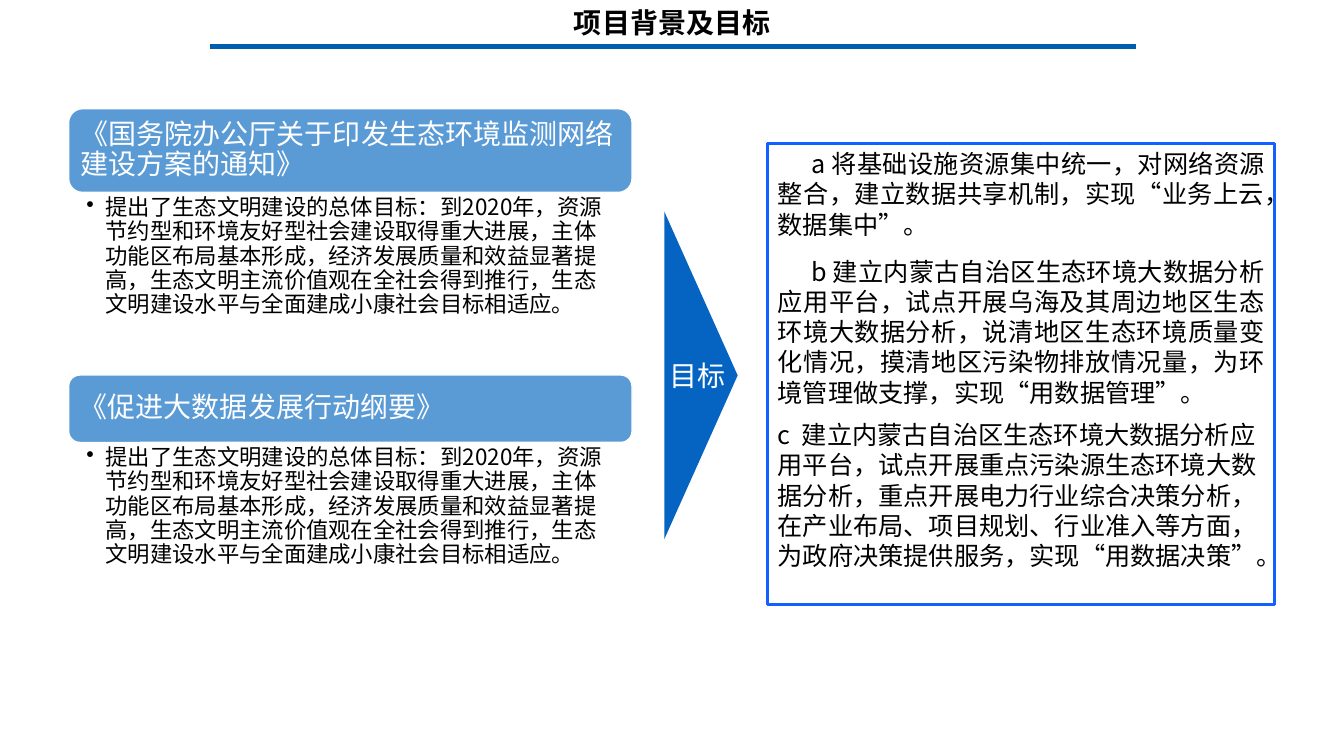
import pptx
import pptx.dml.color
import pptx.enum.shapes
import pptx.enum.text
import pptx.oxml.ns
import pptx.util
from lxml import etree

Cm, Pt = pptx.util.Cm, pptx.util.Pt
SHAPE = pptx.enum.shapes.MSO_SHAPE
ALIGN = pptx.enum.text.PP_ALIGN
ANCHOR = pptx.enum.text.MSO_ANCHOR
qn = pptx.oxml.ns.qn

FONT = "Noto Sans CJK SC"
COLORS = {
    "text": "000000",
    "light": "FFFFFF",
    "rule": "005EAE",
    "head": "5B9BD5",
    "arrow": "0563C1",
    "frame": "1160FF",
}
POLICY = (
    "提出了生态文明建设的总体目标：到2020年，资源节约型和环境友好型社会建设取得重大进展，"
    "主体功能区布局基本形成，经济发展质量和效益显著提高，生态文明主流价值观在全社会得到推行，"
    "生态文明建设水平与全面建成小康社会目标相适应。"
)
CARDS = [  # heading, top, heading height
    ("《国务院办公厅关于印发生态环境监测网络建设方案的通知》", 2.74, 2.11),
    ("《促进大数据发展行动纲要》", 9.45, 1.7),
]
GOALS = [
    "a 将基础设施资源集中统一，对网络资源整合，建立数据共享机制，实现“业务上云，数据集中”。",
    "b 建立内蒙古自治区生态环境大数据分析应用平台，试点开展乌海及其周边地区生态环境大数据分析，"
    "说清地区生态环境质量变化情况，摸清地区污染物排放情况量，为环境管理做支撑，实现“用数据管理”。",
]
LAST = (
    "c  建立内蒙古自治区生态环境大数据分析应用平台，试点开展重点污染源生态环境大数据分析，"
    "重点开展电力行业综合决策分析，在产业布局、项目规划、行业准入等方面，"
    "为政府决策提供服务，实现“用数据决策”。"
)


def paint(name):
    return pptx.dml.color.RGBColor.from_string(COLORS[name])


def write(frame, *texts, size=18, color="text", bold=False, align=ALIGN.LEFT,
          anchor=ANCHOR.TOP, pads=(0.25, 0.13, 0.25, 0.13), wrap=True,
          lead=None, gap=0, first=0, bullet=False):
    """Fill a text frame, one paragraph per text."""
    frame.auto_size = pptx.enum.text.MSO_AUTO_SIZE.NONE
    frame.word_wrap = wrap
    frame.vertical_anchor = anchor
    (frame.margin_left, frame.margin_top,
     frame.margin_right, frame.margin_bottom) = map(Cm, pads)
    for i, text in enumerate(texts):
        para = frame.add_paragraph() if i else frame.paragraphs[0]
        para.alignment = align
        if lead:
            para.line_spacing = lead
        para.space_before = Pt(gap if i else 0)
        para.space_after = Pt(gap)
        props = para._p.get_or_add_pPr()
        if first:
            props.set("indent", str(Cm(first)))
        if bullet:
            props.set("marL", str(Cm(0.48)))
            props.set("indent", str(-Cm(0.48)))
            etree.SubElement(props, qn("a:buChar")).set("char", "•")
        run = para.add_run()
        run.text = text
        run.font.name = FONT
        run.font.size = Pt(size)
        run.font.bold = bold
        run.font.color.rgb = paint(color)
        mark = run._r.get_or_add_rPr()
        mark.set("lang", "zh-CN")
        etree.SubElement(mark, qn("a:ea")).set("typeface", FONT)


def block(slide, kind, box, fill=None, line=None, width=1):
    """Add a flat preset shape."""
    shape = slide.shapes.add_shape(kind, *map(Cm, box))
    shape.shadow.inherit = False
    if fill:
        shape.fill.solid()
        shape.fill.fore_color.rgb = paint(fill)
    else:
        shape.fill.background()
    if line:
        shape.line.color.rgb = paint(line)
        shape.line.width = Pt(width)
    else:
        shape.line.fill.background()
    return shape


def banner(slide, left, top, width, height):
    """Title with the rule below it."""
    y = Cm(top + height + 0.05)
    rule = slide.shapes.add_connector(
        pptx.enum.shapes.MSO_CONNECTOR.STRAIGHT,
        Cm(left - 2.26), y, Cm(left + width + 2.29), y)
    rule.line.color.rgb = paint("rule")
    rule.line.width = Pt(3)
    etree.SubElement(rule._element.spPr, qn("a:effectLst"))
    title = slide.shapes.title
    title.left, title.top = Cm(left), Cm(top)
    title.width, title.height = Cm(width), Cm(height)
    write(title.text_frame, "项目背景及目标", size=20, bold=True, align=ALIGN.CENTER)


def card(slide, head, left, top, width, height):
    """Rounded heading with a bulleted text under it."""
    bar = block(slide, SHAPE.ROUNDED_RECTANGLE, (left, top, width, height),
                fill="head", line="light")
    write(bar.text_frame, head, size=20, color="light", lead=0.9,
          anchor=ANCHOR.MIDDLE, pads=(0.2,) * 4)
    body = slide.shapes.add_textbox(
        Cm(left), Cm(top + height + 0.02), Cm(width), Cm(4.6))
    write(body.text_frame, POLICY, size=16, lead=0.9,
          pads=(0.45, 0.08, 0.4, 0.08), bullet=True)


def arrow(slide, left, top, width, height):
    """Triangle turned to point right, with upright text."""
    x, y = left + (width - height) / 2, top + (height - width) / 2
    shape = block(slide, SHAPE.ISOSCELES_TRIANGLE, (x, y, height, width), fill="arrow")
    shape.rotation = 90
    write(shape.text_frame, "目标", size=20, color="light",
          anchor=ANCHOR.MIDDLE, wrap=False)
    shape.text_frame._txBody.bodyPr.set("vert", "vert270")


def goals(slide, left, top, width, height):
    """Framed list of goals; the last one has its own box."""
    frame = block(slide, SHAPE.RECTANGLE, (left, top, width, height),
                  line="frame", width=2.25)
    write(frame.text_frame, *GOALS, align=ALIGN.JUSTIFY, gap=6, first=0.84)
    last = slide.shapes.add_textbox(Cm(left), Cm(top + 6.83), Cm(width), Cm(4.88))
    write(last.text_frame, LAST)


def main():
    deck = pptx.Presentation()
    deck.slide_width, deck.slide_height = Cm(33.87), Cm(19.05)
    slide = deck.slides.add_slide(deck.slide_layouts[5])
    banner(slide, 7.54, 0, 18.8, 1.12)
    for head, top, height in CARDS:
        card(slide, head, 1.73, top, 14.2, height)
    arrow(slide, 16.74, 5.33, 1.85, 8.26)
    goals(slide, 19.35, 3.61, 12.78, 11.63)
    deck.save("out.pptx")


if __name__ == "__main__":
    main()
